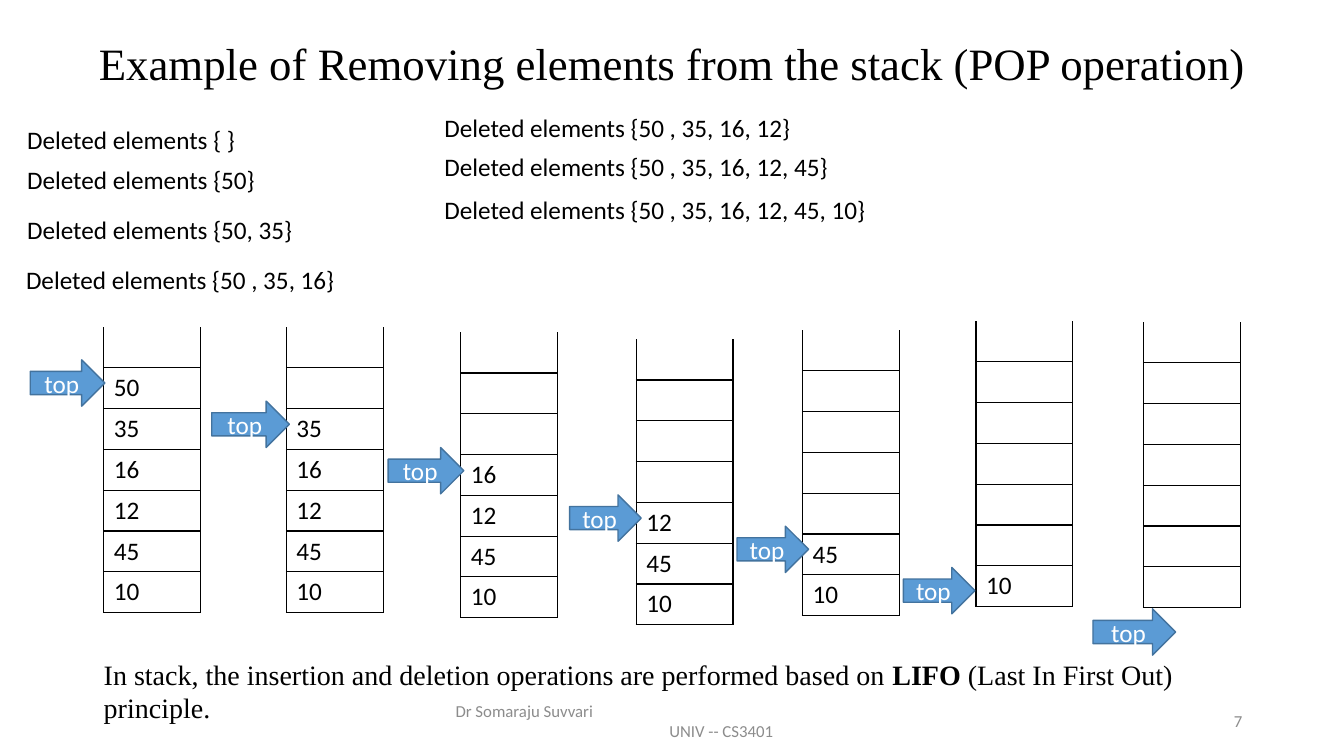
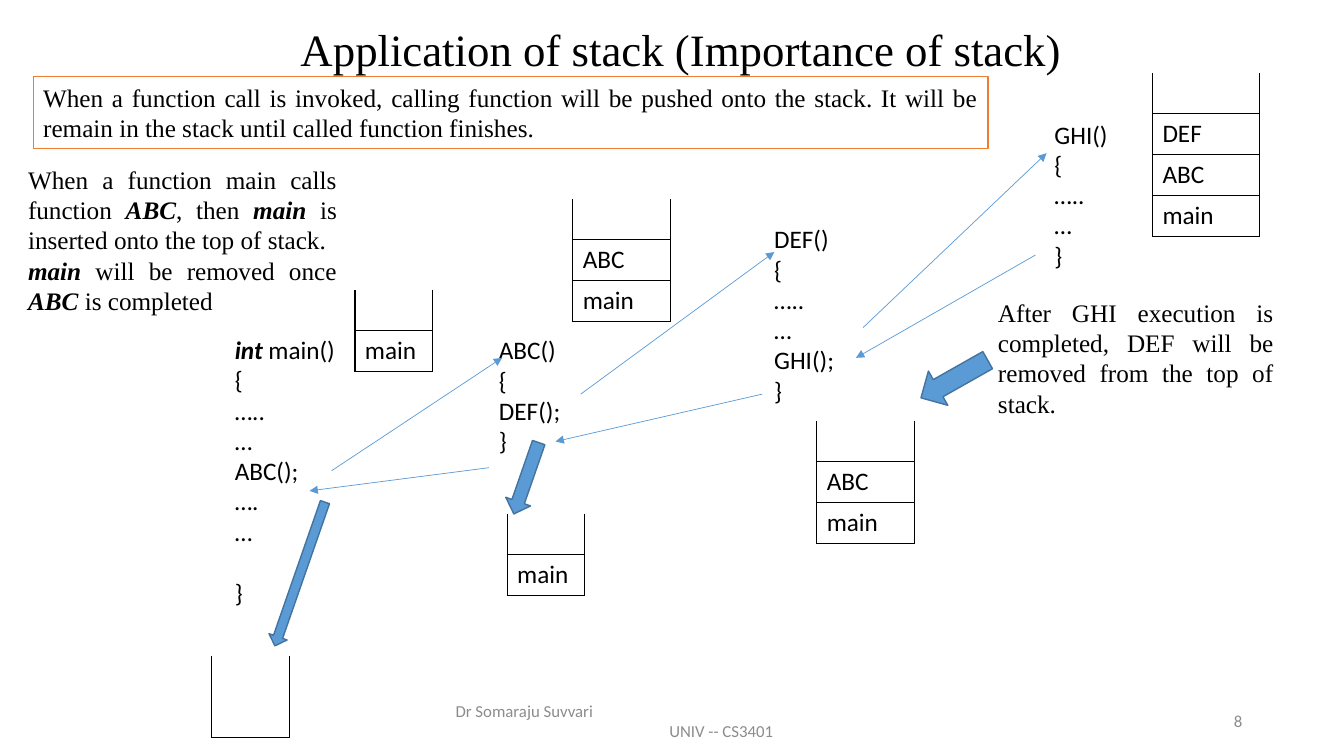
from lxml import etree
from pptx import Presentation
from pptx.dml.color import RGBColor
from pptx.enum import shapes, text
from pptx.oxml import ns
from pptx.util import Inches, Pt

COLORS = {"ink": "000000", "white": "FFFFFF", "muted": "8C8C8C",
          "blue": "5B9BD5", "outline": "43739E", "orange": "ED7D31"}
COLORS = {name: RGBColor.from_string(value) for name, value in COLORS.items()}
SANS, SERIF = "Calibri", "Times New Roman"
LEFT, CENTER = text.PP_ALIGN.LEFT, text.PP_ALIGN.CENTER
RIGHT, JUSTIFY = text.PP_ALIGN.RIGHT, text.PP_ALIGN.JUSTIFY
ROW_HEIGHT = 0.405


def write(shape, lines, size=18, font=SANS, color="ink", align=LEFT, italic=True):
    frame = shape.text_frame
    frame.word_wrap = True
    for index, line in enumerate(lines):
        paragraph = frame.paragraphs[0] if index == 0 else frame.add_paragraph()
        paragraph.alignment = align
        for part, words in enumerate(line.split("*")):
            if words:
                run = paragraph.add_run()
                run.text = words
                run.font.size = Pt(size)
                run.font.name = font
                run.font.color.rgb = COLORS[color]
                run.font.bold = part % 2 == 1
                run.font.italic = part % 2 == 1 and italic
    return frame


def add_stack(slide, left, top, width, labels, divided=True):
    count = len(labels)
    frame = slide.shapes.add_table(count, 1, Inches(left), Inches(top),
                                   Inches(width), Inches(ROW_HEIGHT * count))
    table = frame.table
    table.first_row = table.horz_banding = False
    for row, label in enumerate(labels):
        table.rows[row].height = Inches(ROW_HEIGHT)
        cell = table.cell(row, 0)
        write(cell, [label])
        properties = cell._tc.get_or_add_tcPr()
        drawn = {"L": row > 0, "R": row > 0, "T": row > 1 and divided,
                 "B": row > 0 and (divided or row == count - 1)}
        for side, visible in drawn.items():
            border = etree.SubElement(properties, ns.qn("a:ln" + side), w=str(Pt(1)))
            if visible:
                fill = etree.SubElement(border, ns.qn("a:solidFill"))
                etree.SubElement(fill, ns.qn("a:srgbClr"), val=str(COLORS["ink"]))
            else:
                etree.SubElement(border, ns.qn("a:noFill"))
        cell.fill.background()


presentation = Presentation()
presentation.slide_width, presentation.slide_height = Inches(13.33), Inches(7.5)

titles = [
    ("Example of Removing elements from the stack (POP operation)",
     (0.88, 0.3, 12.01, 0.64), LEFT),
    ("Application of stack (Importance of stack)", (1.67, 0.16, 10.17, 0.64), CENTER),
]
for number, (title, box, align) in enumerate(titles, start=7):
    slide = presentation.slides.add_slide(presentation.slide_layouts[5])
    heading = slide.shapes.title
    heading.left, heading.top, heading.width, heading.height = map(Inches, box)
    write(heading, [title], 32, SERIF, align=align)
    footer = slide.shapes.add_textbox(Inches(4.42), Inches(6.95), Inches(4.5), Inches(0.4))
    frame = write(footer, ["Dr Somaraju Suvvari", "UNIV -- CS3401"], 12, color="muted")
    frame.vertical_anchor = text.MSO_ANCHOR.MIDDLE
    frame.paragraphs[1]._p.get_or_add_pPr().set("marL", str(Inches(2.12)))
    page = slide.shapes.add_textbox(Inches(9.42), Inches(6.95), Inches(3), Inches(0.4))
    frame = write(page, [str(number)], 12, color="muted", align=RIGHT)
    frame.vertical_anchor = text.MSO_ANCHOR.MIDDLE

pop_slide, call_slide = presentation.slides

values = ["50", "35", "16", "12", "45", "10"]
stack_places = [(1.03, 2.84), (2.84, 2.84), (4.57, 2.89), (6.31, 2.96),
                (7.96, 2.87), (9.68, 2.78), (11.34, 2.79)]
deleted_places = [(0.17, 1.18), (0.17, 1.58), (0.17, 2.08), (0.16, 2.57),
                  (4.31, 1.07), (4.31, 1.45), (4.31, 1.88)]
deleted_sets = [" ", "50", "50, 35", "50 , 35, 16", "50 , 35, 16, 12",
                "50 , 35, 16, 12, 45", "50 , 35, 16, 12, 45, 10"]
for removed, (left, top) in enumerate(stack_places):
    add_stack(pop_slide, left, top, 0.96, [""] * (removed + 2) + values[removed:])
    left, top = deleted_places[removed]
    label = pop_slide.shapes.add_textbox(Inches(left), Inches(top), Inches(4.54), Inches(0.4))
    write(label, ["Deleted elements {" + deleted_sets[removed] + "}"])

principle = pop_slide.shapes.add_textbox(Inches(0.93), Inches(6.47), Inches(11.92), Inches(0.44))
write(principle, ["In stack, the insertion and deletion operations are performed based on "
                  "*LIFO*\u00a0(Last In First Out) principle."], 20, SERIF, italic=False)

functions = [
    (2.23, 3.27, 1.41, 2.83, ["*int* main()", "{", "…..", "…", "ABC();", "….", "…", "}"]),
    (4.85, 3.27, 1.52, 1.31, ["ABC()", "{", "DEF();", "}"]),
    (7.58, 2.17, 1.47, 1.92, ["DEF()", "{", "…..", "…", "GHI();", "}"]),
    (10.36, 1.13, 1.47, 1.62, ["GHI()", "{", "…..", "…", "}"]),
]
for *box, lines in functions:
    code = call_slide.shapes.add_textbox(*map(Inches, box))
    frame = write(code, lines)
    if "main" in lines[0]:
        frame.paragraphs[-1].space_before = Pt(22)

explanations = [
    (0.18, 1.58, 3.26, 1.62, [
        "When a function main calls function *ABC*, then *main* is inserted onto the top of stack.",
        "*main* will be removed once *ABC* is completed"]),
    (9.8, 2.9, 2.93, 1.31, [
        "After GHI execution is completed, DEF will be removed from the top of stack."]),
]
for *box, lines in explanations:
    explanation = call_slide.shapes.add_textbox(*map(Inches, box))
    write(explanation, lines, font=SERIF, align=JUSTIFY)

rule = call_slide.shapes.add_shape(shapes.MSO_SHAPE.RECTANGLE, Inches(0.33), Inches(0.76),
                                   Inches(9.47), Inches(0.71))
rule.shadow.inherit = False
rule.fill.background()
rule.line.color.rgb = COLORS["orange"]
rule.line.width = Pt(0.75)
write(rule, ["When a function call is invoked, calling function will be pushed onto the stack. "
             "It will be remain in the stack until called function finishes."],
      font=SERIF, align=JUSTIFY)

call_stacks = [
    (3.52, 2.47, 0.77, ["main"]),
    (5.68, 1.57, 0.97, ["ABC", "main"]),
    (11.43, 0.32, 1.06, ["DEF", "ABC", "main"]),
    (8.1, 3.77, 0.97, ["ABC", "main"]),
    (5.03, 4.69, 0.77, ["main"]),
]
for left, top, width, labels in call_stacks:
    add_stack(call_slide, left, top, width, ["", ""] + labels)
add_stack(call_slide, 2.1, 6.1, 0.77, [""] * 3, divided=False)

calls_and_returns = [
    (3.29, 4.67, 4.98, 3.55), (5.76, 3.91, 7.68, 2.5), (8.56, 3.25, 10.38, 1.52),
    (10.27, 2.53, 8.49, 3.55), (7.56, 3.91, 5.51, 4.38), (4.85, 4.64, 3.07, 4.87),
]
for ends in calls_and_returns:
    connector = call_slide.shapes.add_connector(shapes.MSO_CONNECTOR.STRAIGHT, *map(Inches, ends))
    connector.line.color.rgb = COLORS["blue"]
    connector.line.width = Pt(0.5)
    properties = connector._element.spPr
    etree.SubElement(properties.find(ns.qn("a:ln")), ns.qn("a:tailEnd"), type="triangle")
    etree.SubElement(properties, ns.qn("a:effectLst"))

top_arrows = [(0.3, 3.57, 0.74), (2.1, 3.98, 0.77), (3.85, 4.44, 0.75), (5.65, 4.91, 0.71),
              (7.31, 5.22, 0.71), (8.96, 5.63, 0.71), (10.84, 6.04, 0.82)]
return_arrows = [(9.27, 3.38, 0.39, 0.76, 60.5), (5.09, 4.37, 0.26, 0.75, 19.2),
                 (2.88, 4.94, 0.19, 1.51, 19.2)]
block_arrows = [(pop_slide, shapes.MSO_SHAPE.RIGHT_ARROW, (*place, 0.46), 0, "top")
                for place in top_arrows]
block_arrows += [(call_slide, shapes.MSO_SHAPE.DOWN_ARROW, box, angle, "")
                 for *box, angle in return_arrows]
for slide, kind, box, angle, label in block_arrows:
    arrow = slide.shapes.add_shape(kind, *map(Inches, box))
    arrow.rotation = angle
    arrow.shadow.inherit = False
    arrow.fill.solid()
    arrow.fill.fore_color.rgb = COLORS["blue"]
    arrow.line.color.rgb = COLORS["outline"]
    arrow.line.width = Pt(1)
    write(arrow, [label], color="white", align=CENTER)

presentation.save("out.pptx")
